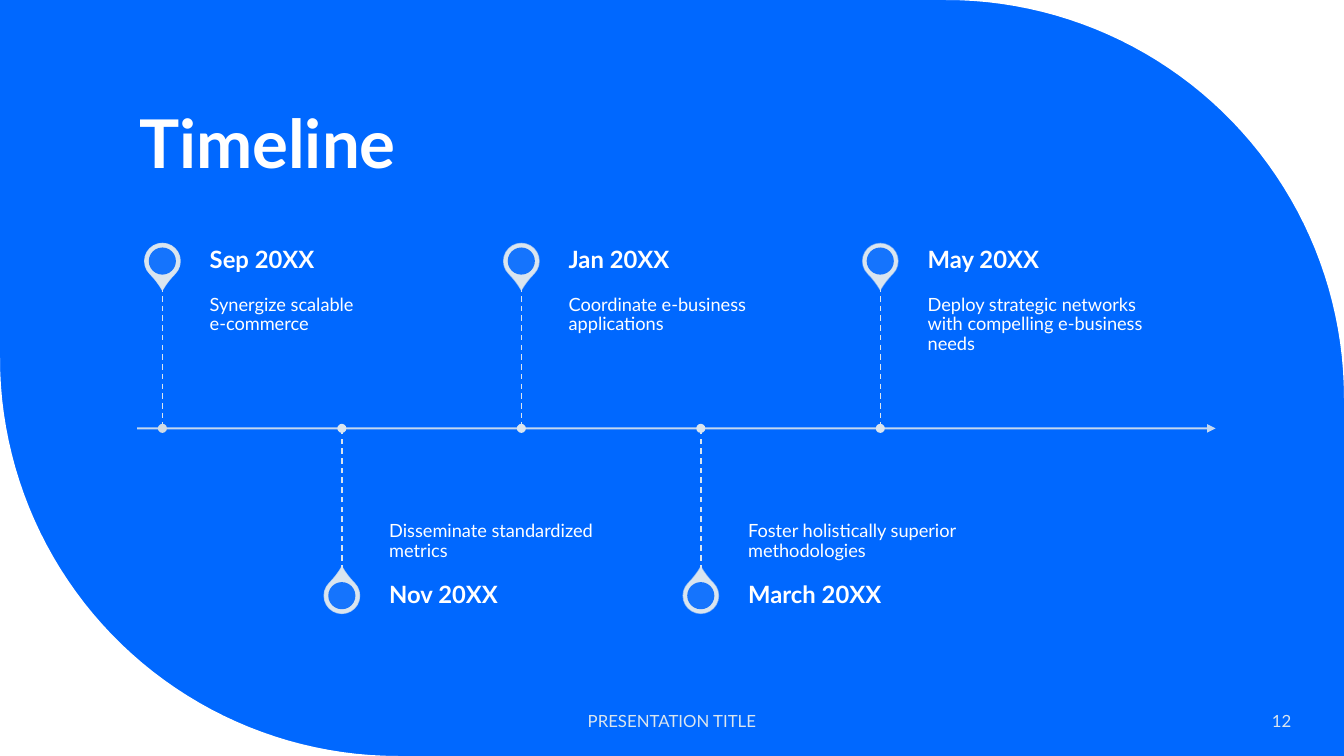
import math
import pptx
import pptx.dml.color
import pptx.enum.dml
import pptx.enum.shapes
import pptx.enum.text
import pptx.oxml
import pptx.util

Pt = pptx.util.Pt
RGBColor = pptx.dml.color.RGBColor
Kind = pptx.enum.shapes.MSO_SHAPE
Line = pptx.enum.shapes.MSO_CONNECTOR
Dash = pptx.enum.dml.MSO_LINE
Align = pptx.enum.text.PP_ALIGN
Anchor = pptx.enum.text.MSO_ANCHOR
Fit = pptx.enum.text.MSO_AUTO_SIZE

BLUE = RGBColor(0x00, 0x68, 0xFF)
WHITE = RGBColor(0xFF, 0xFF, 0xFF)
PALE = RGBColor(0xDA, 0xE5, 0xEF)
GREY = RGBColor(0xD0, 0xDB, 0xE4)
NS = 'xmlns:a="http://schemas.openxmlformats.org/drawingml/2006/main"'


def write(box, text, size, color=WHITE, bold=False, align=Align.LEFT,
          anchor=Anchor.MIDDLE, inset=(7.2, 3.6, 7.2, 3.6), space=0.9):
    """Fill a text shape; inset runs left, top, right, bottom."""
    frame = box.text_frame
    frame.word_wrap = True
    frame.auto_size = Fit.NONE
    frame.vertical_anchor = anchor
    frame.margin_left, frame.margin_top, frame.margin_right, frame.margin_bottom = map(Pt, inset)
    para = frame.paragraphs[0]
    para.text = text
    para.alignment = align
    para.line_spacing = space
    for run in para.runs:
        run.font.name = "Lato"
        run.font.size = Pt(size)
        run.font.bold = bold
        run.font.color.rgb = color


def paint(shape, fill=None, line=None, alpha=100):
    """Set fill colour and line width; alpha applies to the line, if any, else to the fill."""
    if fill is not None:
        shape.fill.solid()
        shape.fill.fore_color.rgb = fill
        shape.shadow.inherit = False
    if line:
        shape.line.color.rgb = PALE
        shape.line.width = Pt(line)
    else:
        shape.line.fill.background()
    if fill is None:
        shape._element.spPr.append(pptx.oxml.parse_xml(f"<a:effectLst {NS}/>"))
    if alpha < 100:
        color = shape._element.xpath(".//p:spPr//a:srgbClr")[-1]
        color.append(pptx.oxml.parse_xml(f'<a:alpha {NS} val="{alpha * 1000}"/>'))


deck = pptx.Presentation()
deck.slide_width, deck.slide_height = Pt(960), Pt(540)
slide = deck.slides.add_slide(deck.slide_layouts[5])
slide.background.fill.solid()
slide.background.fill.fore_color.rgb = BLUE
shapes = slide.shapes

# White corners: a quarter arc closed through the slide corner
RADIUS = 284.4
for mid_x, mid_y, start, corner in [
    (960 - RADIUS, RADIUS, -90, (960, 0)),
    (RADIUS, 540 - RADIUS, 90, (0, 540)),
]:
    arc = []
    for turn in range(start, start + 91, 2):
        angle = math.radians(turn)
        arc.append((Pt(mid_x + RADIUS * math.cos(angle)),
                    Pt(mid_y + RADIUS * math.sin(angle))))
    path = shapes.build_freeform(*arc[0])
    path.add_line_segments(arc[1:] + [tuple(map(Pt, corner))], close=True)
    paint(path.convert_to_shape(), WHITE)

title = shapes.title
title.left, title.top, title.width, title.height = Pt(92.2), Pt(30.2), Pt(769.7), Pt(104.4)
write(title, "Timeline", 48, bold=True, anchor=Anchor.BOTTOM)

# Time axis
AXIS = 306
axis = shapes.add_connector(Line.STRAIGHT, Pt(98), Pt(AXIS), Pt(868.3), Pt(AXIS))
paint(axis, line=1.5, alpha=90)
axis.line._ln.append(pptx.oxml.parse_xml(f'<a:tailEnd {NS} type="triangle"/>'))

# Events alternate above and below the axis
FIRST, STEP = 116, 128.2
STEM, HEAD, WIDTH = 101.5, 36, 182.3
PIN, HOLE, DOT = 25.2, 19.4, 6.5
events = [
    ("Sep 20XX", "Synergize scalable\ne-commerce"),
    ("Nov 20XX", "Disseminate standardized metrics"),
    ("Jan 20XX", "Coordinate e-business applications"),
    ("March 20XX", "Foster holistically superior methodologies"),
    ("May 20XX", "Deploy strategic networks with compelling e-business needs"),
]
for i, (date, note) in enumerate(events):
    x = FIRST + STEP * i
    if i % 2 == 0:
        side, turn, anchor, inset = -1, 135, Anchor.TOP, (0, 6.5, 6.5, 10)
    else:
        side, turn, anchor, inset = 1, 315, Anchor.BOTTOM, (0, 10, 0, 6.5)
    tip = AXIS + side * STEM
    mid = tip + side * HEAD / 2

    pin = shapes.add_shape(Kind.TEAR, Pt(x - PIN / 2), Pt(mid - PIN / 2), Pt(PIN), Pt(PIN))
    pin.adjustments[0] = 1.15
    pin.rotation = turn
    paint(pin, PALE, line=1, alpha=90 - 10 * i)
    hole = shapes.add_shape(Kind.OVAL, Pt(x - HOLE / 2), Pt(mid - HOLE / 2), Pt(HOLE), Pt(HOLE))
    paint(hole, BLUE, alpha=90)

    left = Pt(x + 33.8)
    body = shapes.add_textbox(left, Pt(min(AXIS, tip)), Pt(WIDTH), Pt(STEM))
    write(body, note, 13, anchor=anchor, inset=inset)
    label = shapes.add_textbox(left, Pt(mid - HEAD / 2), Pt(WIDTH), Pt(HEAD))
    write(label, date, 17, bold=True, inset=(0, 0, 8.6, 0))

    stem = shapes.add_connector(Line.STRAIGHT, Pt(x), Pt(tip), Pt(x), Pt(AXIS))
    paint(stem, line=1)
    stem.line.dash_style = Dash.DASH
    dot = shapes.add_shape(Kind.OVAL, Pt(x - DOT / 2), Pt(AXIS - DOT / 2), Pt(DOT), Pt(DOT))
    paint(dot, GREY if i == 0 else PALE)

# Footer
for left, width, text, align in [
    (318, 324, "PRESENTATION TITLE", Align.CENTER),
    (799.2, 130.3, "12", Align.RIGHT),
]:
    foot = shapes.add_textbox(Pt(left), Pt(500.5), Pt(width), Pt(28.8))
    write(foot, text, 12, color=PALE, align=align, space=1.0)

deck.save("out.pptx")
